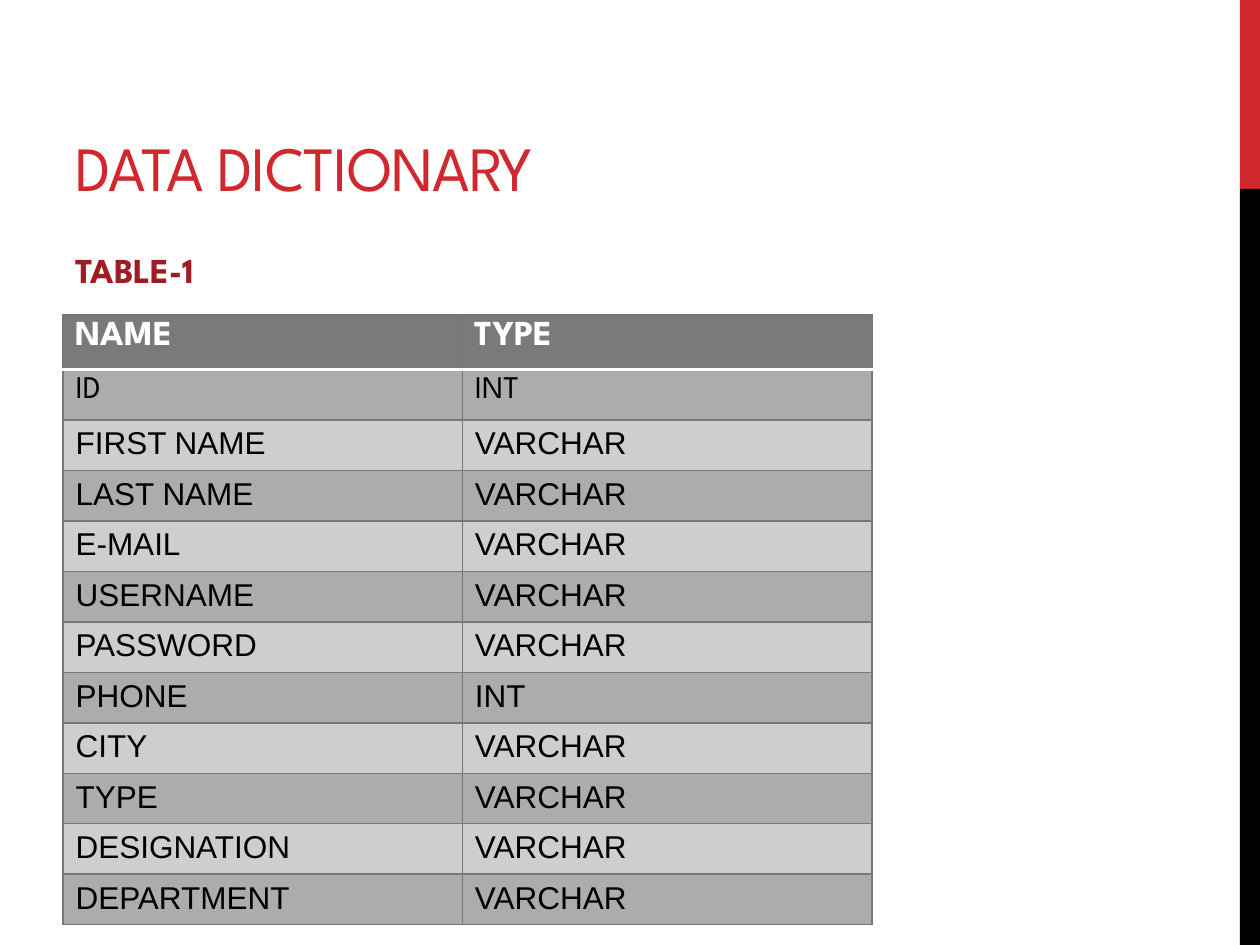
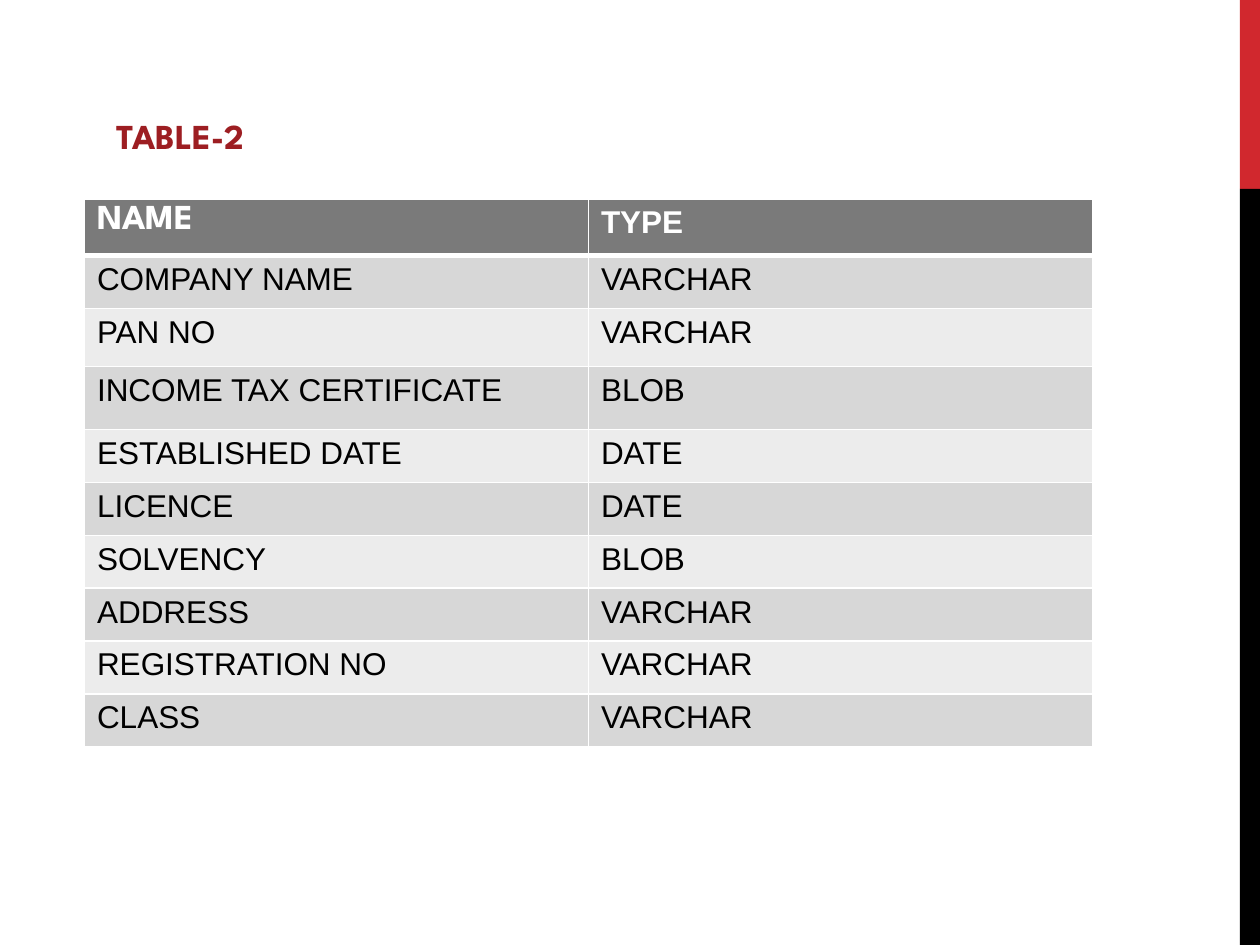
import pptx
import pptx.dml.color
import pptx.enum.shapes
import pptx.enum.text
import pptx.oxml
import pptx.oxml.ns
import pptx.util

Inches = pptx.util.Inches
Pt = pptx.util.Pt
RGBColor = pptx.dml.color.RGBColor

RED = RGBColor(0xD1, 0x28, 0x2E)
WINE = RGBColor(0x9D, 0x1E, 0x22)
BLACK = RGBColor(0, 0, 0)
WHITE = RGBColor(0xFF, 0xFF, 0xFF)
HEAD = RGBColor(0x7A, 0x7A, 0x7A)
EDGE = RGBColor(0x77, 0x77, 0x77)
DARK = (RGBColor(0xAC, 0xAC, 0xAC), RGBColor(0xCE, 0xCE, 0xCE))
PALE = (RGBColor(0xD7, 0xD7, 0xD7), RGBColor(0xEC, 0xEC, 0xEC))
BRAND = "League Spartan"
PLAIN = "Arial"

USERS = [
    ("NAME", "TYPE"),
    ("ID", "INT"),
    ("FIRST NAME", "VARCHAR"),
    ("LAST NAME", "VARCHAR"),
    ("E-MAIL", "VARCHAR"),
    ("USERNAME", "VARCHAR"),
    ("PASSWORD", "VARCHAR"),
    ("PHONE", "INT"),
    ("CITY", "VARCHAR"),
    ("TYPE", "VARCHAR"),
    ("DESIGNATION", "VARCHAR"),
    ("DEPARTMENT", "VARCHAR"),
]
FIRMS = [
    ("NAME", "TYPE"),
    ("COMPANY NAME", "VARCHAR"),
    ("PAN NO", "VARCHAR"),
    ("INCOME TAX CERTIFICATE", "BLOB"),
    ("ESTABLISHED DATE", "DATE"),
    ("LICENCE", "DATE"),
    ("SOLVENCY", "BLOB"),
    ("ADDRESS", "VARCHAR"),
    ("REGISTRATION NO", "VARCHAR"),
    ("CLASS", "VARCHAR"),
]


def style(para, size, color, face=BRAND, bold=False):
    """Set the font of a paragraph."""
    font = para.font
    font.name, font.size, font.bold = face, Pt(size), bold
    font.color.rgb = color


def add_band(slide, top, height, color):
    """Draw one part of the stripe on the right edge."""
    band = slide.shapes.add_shape(
        pptx.enum.shapes.MSO_SHAPE.RECTANGLE,
        Inches(9.84), Inches(top), Inches(0.16), Inches(height))
    band.shadow.inherit = False
    band.fill.solid()
    band.fill.fore_color.rgb = color
    band.line.fill.background()


def add_page(deck):
    """Add a blank slide with the stripe that all slides share."""
    slide = deck.slides.add_slide(deck.slide_layouts[6])
    add_band(slide, 0, 1.5, RED)
    add_band(slide, 1.5, 6, BLACK)
    return slide


def add_text(slide, text, left, top, width, height):
    """Add a wrapped text box and return its frame."""
    box = slide.shapes.add_textbox(
        Inches(left), Inches(top), Inches(width), Inches(height))
    frame = box.text_frame
    frame.word_wrap = True
    frame.text = text
    return frame


def add_title(slide, text):
    """Add the slide title."""
    frame = add_text(slide, text, 0.5, 0.17, 6.33, 1.5)
    frame.vertical_anchor = pptx.enum.text.MSO_ANCHOR.BOTTOM
    para = frame.paragraphs[0]
    style(para, 36, RED)
    para.runs[0].font._element.set("spc", "-60")


def add_label(slide, text, left, top):
    """Add the bold name above a table."""
    frame = add_text(slide, text, left, top, 1.5, 0.44)
    style(frame.paragraphs[0], 20, WINE, bold=True)


def set_edge(cell, side, color, width):
    """Draw one border of a cell; side is L, R, T or B."""
    line = pptx.oxml.parse_xml(
        f'<a:ln{side} {pptx.oxml.ns.nsdecls("a")} w="{Pt(width)}">'
        f'<a:solidFill><a:srgbClr val="{color}"/></a:solidFill></a:ln{side}>')
    cell._tc.get_or_add_tcPr().append(line)


def add_grid(slide, rows, left, top, cols, heights, bands, edge, rule, brand):
    """Add a banded table; brand holds the cells set in the title face."""
    grid = slide.shapes.add_table(
        len(rows), len(cols), Inches(left), Inches(top),
        Inches(sum(cols)), Inches(sum(heights))).table
    grid.horz_banding = False
    for col, width in zip(grid.columns, cols):
        col.width = Inches(width)
    for r, (row, height) in enumerate(zip(rows, heights)):
        grid.rows[r].height = Inches(height)
        for c, text in enumerate(row):
            cell = grid.cell(r, c)
            cell.text = text
            head = r == 0
            face = BRAND if (r, c) in brand else PLAIN
            size = 20 if head and face == BRAND else 18
            style(cell.text_frame.paragraphs[0], size,
                  WHITE if head else BLACK, face, head)
            for side in "LRTB":
                ruled = (r, side) in ((0, "B"), (1, "T"))
                set_edge(cell, side, WHITE if ruled else edge,
                         rule if ruled else 1)
            cell.fill.solid()
            cell.fill.fore_color.rgb = HEAD if head else bands[(r - 1) % 2]


def main():
    """Build both slides and save the deck."""
    deck = pptx.Presentation()
    deck.slide_width, deck.slide_height = Inches(10), Inches(7.5)

    page = add_page(deck)
    add_title(page, "DATA DICTIONARY")
    add_grid(page, USERS, 0.5, 2.5, (3.17, 3.25), [0.43] + [0.39] * 11,
             DARK, EDGE, 2.25, {(0, 0), (0, 1), (1, 0), (1, 1)})
    add_label(page, "TABLE-1", 0.5, 1.92)

    page = add_page(deck)
    add_label(page, "TABLE-2", 0.83, 0.86)
    add_grid(page, FIRMS, 0.67, 1.58, (4, 4),
             [0.45, 0.42, 0.46, 0.5] + [0.42] * 6,
             PALE, WHITE, 3, {(0, 0)})

    deck.save("out.pptx")


if __name__ == "__main__":
    main()
